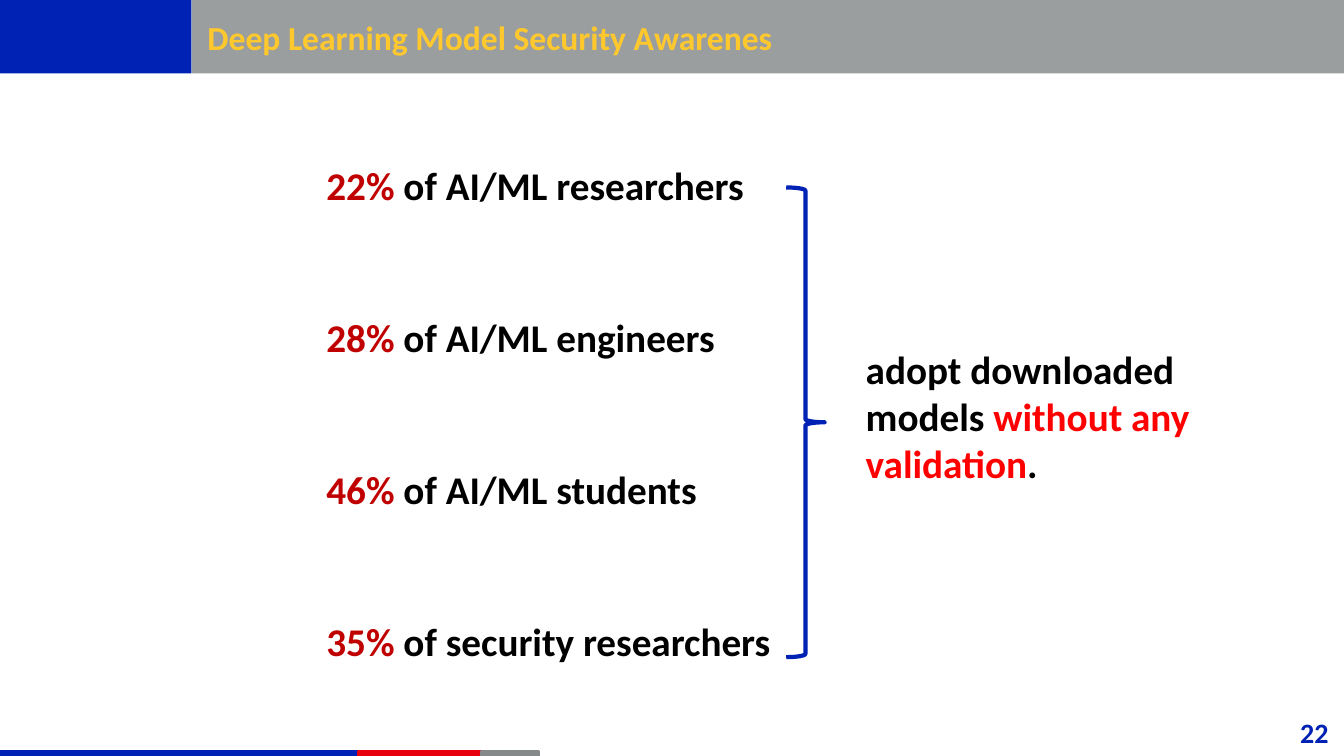
"""Build the slide on deep learning model security awareness."""
from dataclasses import dataclass

import pptx
import pptx.dml.color
import pptx.enum.shapes
import pptx.enum.text
import pptx.oxml
import pptx.oxml.ns
import pptx.util

Pt = pptx.util.Pt
SHAPE = pptx.enum.shapes.MSO_SHAPE
ALIGN = pptx.enum.text.PP_ALIGN


@dataclass(frozen=True)
class Theme:
    font: str = "Calibri"
    title_size: int = 24
    body_size: int = 28
    number_size: int = 20
    blue: str = "0022B4"
    red: str = "E8000D"
    gray: str = "85898A"
    gold: str = "FFC82D"
    white: str = "FFFFFF"
    black: str = "000000"
    figure: str = "C00000"
    warning: str = "FF0000"


@dataclass(frozen=True)
class Box:
    x: float
    y: float
    w: float
    h: float


@dataclass(frozen=True)
class Panel:
    box: Box
    fill: str
    line: str | None = None
    line_width: float = 0
    kind: SHAPE = SHAPE.RECTANGLE
    opacity: int = 100


@dataclass(frozen=True)
class Part:
    text: str
    color: str


@dataclass(frozen=True)
class Finding:
    share: str
    group: str


THEME = Theme()
FINDINGS = [
    Finding("22%", " of AI/ML researchers"),
    Finding("28%", " of AI/ML engineers"),
    Finding("46%", " of AI/ML students"),
    Finding("35%", " of security researchers"),
]
FINDING_TOP, FINDING_STEP = 97.9, 108.72
HEADER = [
    Panel(Box(136.8, 0, 823.2, 52.4), THEME.gray, opacity=82),
    Panel(Box(0, 0, 136.8, 52.4), THEME.blue),
]
FOOTER = [
    Panel(Box(x, 536.4, w, 3.6), color, color, 2)
    for x, w, color in [
        (0, 256.3, THEME.blue),
        (256.3, 95.8, THEME.red),
        (344.2, 40.3, THEME.gray),
    ]
]
BRACE = Panel(Box(561.6, 133.9, 27.4, 335.5), THEME.white, THEME.blue, 3, SHAPE.RIGHT_BRACE)
CONCLUSION = [
    Part("adopt downloaded models ", THEME.black),
    Part("without any validation", THEME.warning),
    Part(".", THEME.black),
]


def rgb(color: str) -> pptx.dml.color.RGBColor:
    return pptx.dml.color.RGBColor.from_string(color)


def place(box: Box) -> tuple[int, int, int, int]:
    return Pt(box.x), Pt(box.y), Pt(box.w), Pt(box.h)


def draw_panel(s, panel: Panel):
    sp = s.shapes.add_shape(panel.kind, *place(panel.box))
    sp.shadow.inherit = False
    sp.fill.solid()
    sp.fill.fore_color.rgb = rgb(panel.fill)
    if panel.opacity < 100:
        color = sp.fill._xPr.find(".//" + pptx.oxml.ns.qn("a:srgbClr"))
        alpha = pptx.oxml.parse_xml(f'<a:alpha {pptx.oxml.ns.nsdecls("a")} val="{panel.opacity * 1000}"/>')
        color.append(alpha)
    if panel.line:
        sp.line.color.rgb = rgb(panel.line)
        sp.line.width = Pt(panel.line_width)
    else:
        sp.line.fill.background()
    return sp


def write(sp, parts: list[Part], size: float, align: ALIGN = ALIGN.LEFT) -> None:
    tf = sp.text_frame
    tf.word_wrap = True
    tf.vertical_anchor = pptx.enum.text.MSO_ANCHOR.MIDDLE
    p = tf.paragraphs[0]
    p.alignment = align
    for part in parts:
        r = p.add_run()
        r.text = part.text
        r.font.name = THEME.font
        r.font.size = Pt(size)
        r.font.bold = True
        r.font.color.rgb = rgb(part.color)


def main() -> None:
    prs = pptx.Presentation()
    prs.slide_width, prs.slide_height = Pt(960), Pt(540)
    s = prs.slides.add_slide(prs.slide_layouts[6])

    for panel in FOOTER + HEADER:
        draw_panel(s, panel)

    number = s.shapes.add_textbox(*place(Box(851, 509, 105.1, 28.8)))
    write(number, [Part("22", THEME.blue)], THEME.number_size, ALIGN.RIGHT)
    title = s.shapes.add_textbox(*place(Box(141.1, 4.3, 629.3, 43.9)))
    write(title, [Part("Deep Learning Model Security Awarenes", THEME.gold)], THEME.title_size)

    for i, finding in enumerate(FINDINGS):
        sp = draw_panel(s, Panel(Box(226.1, FINDING_TOP + i * FINDING_STEP, 471.6, 67.7), THEME.white))
        parts = [Part(finding.share, THEME.figure), Part(finding.group, THEME.black)]
        write(sp, parts, THEME.body_size)

    draw_panel(s, BRACE)
    sp = draw_panel(s, Panel(Box(611.3, 212.4, 303.8, 169.9), THEME.white))
    write(sp, CONCLUSION, THEME.body_size)

    prs.save("out.pptx")


if __name__ == "__main__":
    main()
